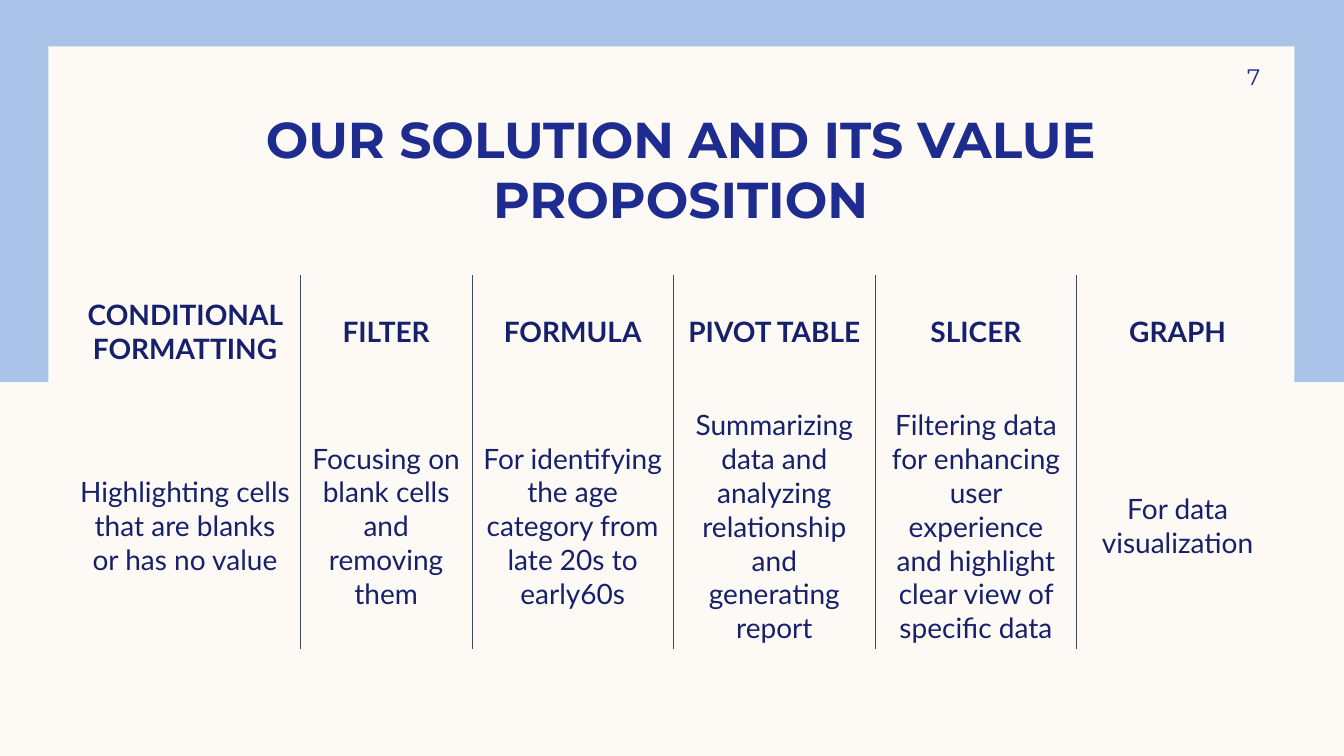
from lxml import etree
from pptx import Presentation, util as u
from pptx.dml.color import RGBColor
from pptx.enum import shapes, text
from pptx.oxml import ns

TOOLS = [
    ("CONDITIONAL FORMATTING", "Highlighting cells that are blanks or has no value", 2.29),
    ("FILTER", "Focusing on blank cells and removing them", 1.7),
    ("FORMULA", "For identifying the age category from late 20s to early60s", 2),
    ("PIVOT TABLE", "Summarizing data and analyzing relationship and generating report", 2),
    ("SLICER", "Filtering data for enhancing user experience and highlight clear view of specific data", 2),
    ("GRAPH", "For data visualization", 2),
]
ROW_HEIGHTS = (1.12, 2.28)
PLAIN_TABLE_STYLE = "{2D5ABB26-0587-4C30-8999-92F81FD0307C}"


def color(value):
    return RGBColor.from_string(value)


class SlideBuilder:
    cream = "FDFAF6"
    sky = "AAC3E8"
    blue = "1F2C8F"
    navy = "17216B"
    rule = "3D4C5F"
    heading_font = "Montserrat"
    body_font = "Lato"

    def __init__(self, presentation):
        self.slide = presentation.slides.add_slide(presentation.slide_layouts[5])
        fill = self.slide.background.fill
        fill.solid()
        fill.fore_color.rgb = color(self.cream)

    def add_words(self, frame, words, size, font, ink, bold=False, align=text.PP_ALIGN.CENTER):
        frame.word_wrap = True
        paragraph = frame.paragraphs[0]
        paragraph.alignment = align
        run = paragraph.add_run()
        run.text = words
        run.font.size = u.Pt(size)
        run.font.name = font
        run.font.bold = bold
        run.font.color.rgb = color(ink)

    def margins(self, target, left, top, right, bottom):
        target.margin_left, target.margin_top = u.Inches(left), u.Inches(top)
        target.margin_right, target.margin_bottom = u.Inches(right), u.Inches(bottom)

    def panel(self, left, top, width, height, fill):
        shape = self.slide.shapes.add_shape(
            shapes.MSO_SHAPE.RECTANGLE, *map(u.Inches, (left, top, width, height)))
        shape.shadow.inherit = False
        shape.fill.solid()
        shape.fill.fore_color.rgb = color(fill)
        shape.line.fill.background()

    def title(self, words, left, top, width, height):
        shape = self.slide.shapes.title
        self.slide.shapes.element.append(shape.element)
        shape.left, shape.top, shape.width, shape.height = map(
            u.Inches, (left, top, width, height))
        frame = shape.text_frame
        frame.auto_size = text.MSO_AUTO_SIZE.NONE
        frame.vertical_anchor = text.MSO_ANCHOR.BOTTOM
        self.margins(frame, 0.1, 0, 0.1, 0)
        self.add_words(frame, words, 36, self.heading_font, self.blue, bold=True)

    def page_number(self, number, left, top, width, height):
        shape = self.slide.shapes.add_textbox(*map(u.Inches, (left, top, width, height)))
        frame = shape.text_frame
        frame.vertical_anchor = text.MSO_ANCHOR.MIDDLE
        self.margins(frame, 0.1, 0.05, 0, 0.05)
        self.add_words(frame, number, 16, self.heading_font, self.blue, align=text.PP_ALIGN.RIGHT)

    def border(self, cell, side):
        properties = cell._tc.get_or_add_tcPr()
        line = etree.SubElement(properties, ns.qn(f"a:ln{side}"), w=str(u.Pt(0.5)))
        fill = etree.SubElement(line, ns.qn("a:solidFill"))
        etree.SubElement(fill, ns.qn("a:srgbClr"), val=self.rule)

    def table(self, columns, row_heights, left, top):
        width = sum(column[-1] for column in columns)
        frame = self.slide.shapes.add_table(
            len(row_heights), len(columns),
            *map(u.Inches, (left, top, width, sum(row_heights))))
        table = frame.table
        table.first_row = table.horz_banding = False
        table._tbl.tblPr.find(ns.qn("a:tableStyleId")).text = PLAIN_TABLE_STYLE
        for row, height in zip(table.rows, row_heights):
            row.height = u.Inches(height)
        for index, (heading, description, column_width) in enumerate(columns):
            table.columns[index].width = u.Inches(column_width)
            for row, words in enumerate((heading, description)):
                cell = table.cell(row, index)
                if index > 0:
                    self.border(cell, "L")
                if index < len(columns) - 1:
                    self.border(cell, "R")
                cell.fill.background()
                cell.vertical_anchor = text.MSO_ANCHOR.MIDDLE
                self.margins(cell, 0.1, 0.2 if row else 0.05, 0.1, 0.05)
                self.add_words(cell.text_frame, words, 20, self.body_font, self.navy, bold=row == 0)


def main():
    presentation = Presentation()
    presentation.slide_width = u.Inches(13.33)
    presentation.slide_height = u.Inches(7.5)
    builder = SlideBuilder(presentation)
    builder.panel(0, 0, 13.33, 3.79, builder.sky)
    builder.panel(0.48, 0.46, 12.36, 6.59, builder.cream)
    builder.title("OUR SOLUTION AND ITS VALUE PROPOSITION", 1, 0.92, 11.5, 1.35)
    builder.page_number("7", 11.33, 0.5, 1.17, 0.52)
    builder.table(TOOLS, ROW_HEIGHTS, 0.69, 2.73)
    presentation.save("out.pptx")


if __name__ == "__main__":
    main()
